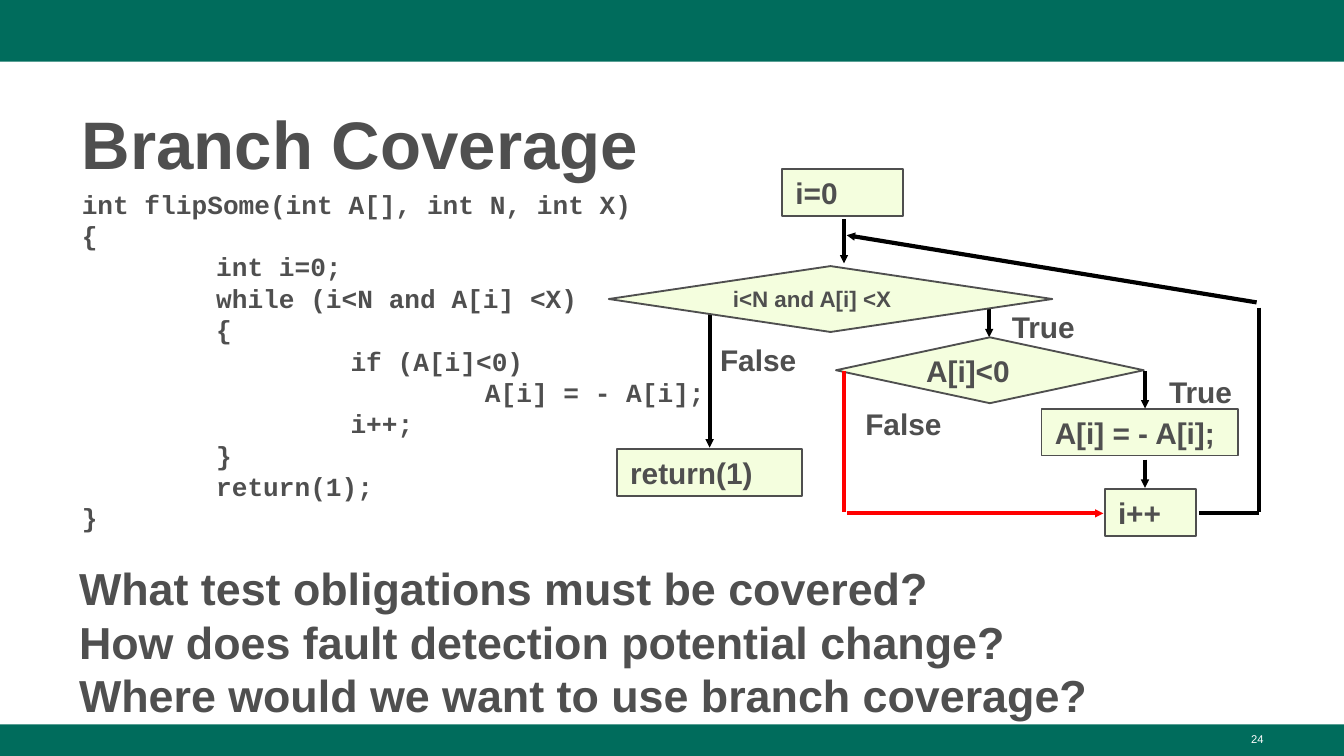
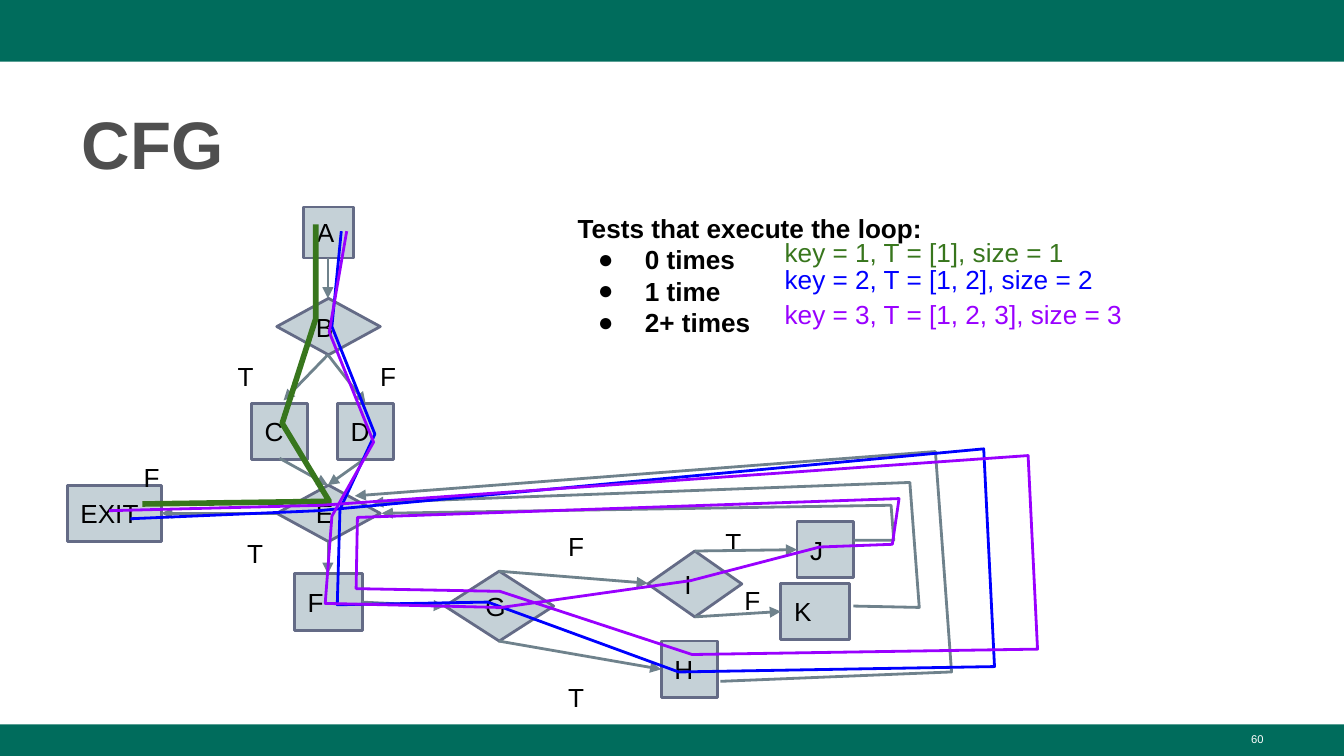
import pptx
import pptx.dml.color
import pptx.enum.shapes
import pptx.enum.text
import pptx.oxml
import pptx.oxml.ns
import pptx.util

RGB = pptx.dml.color.RGBColor
GREEN = RGB(0x00, 0x6C, 0x5C)
WHITE = RGB(0xFF, 0xFF, 0xFF)
BLACK = RGB(0x00, 0x00, 0x00)
GRAY = RGB(0x4F, 0x4F, 0x4F)
LIME = RGB(0xF4, 0xFE, 0xDE)
RED = RGB(0xFF, 0x00, 0x00)
STEEL = RGB(0xC5, 0xD1, 0xD7)
SLATE = RGB(0x64, 0x6B, 0x86)
EDGE = RGB(0x6F, 0x82, 0x8C)
LEAF = RGB(0x38, 0x76, 0x1D)
BLUE = RGB(0x00, 0x00, 0xFF)
PLUM = RGB(0x99, 0x00, 0xFF)

SCALE = 9144
SHAPE = pptx.enum.shapes.MSO_SHAPE
RECT, GEM = SHAPE.RECTANGLE, SHAPE.DIAMOND
ANCHOR = pptx.enum.text.MSO_ANCHOR
ALIGN = pptx.enum.text.PP_ALIGN
NS = 'xmlns:a="http://schemas.openxmlformats.org/drawingml/2006/main"'

SOURCE = """int flipSome(int A[], int N, int X)
{
\tint i=0;
\twhile (i<N and A[i] <X)
\t{
\t\tif (A[i]<0)
\t\t\tA[i] = - A[i];
\t\ti++;
\t}
\treturn(1);
}"""


def px(n):
    return pptx.util.Emu(n * SCALE)


def style(size, color, bold=True, name="Arial"):
    return {"size": pptx.util.Pt(size), "bold": bold, "name": name, "color": color}


HEAD = style(36, GRAY)
CODE = style(14, GRAY, name="Courier New")
FLOW = style(16, GRAY)
SMALL = style(12, GRAY)
ASK = style(24, GRAY)
NODE = style(14, BLACK, False)
LIST = style(14, BLACK)
PAGE = style(6, WHITE, False)


def apply(item, values):
    for key, value in values.items():
        if key == "color":
            item.color.rgb = value
        else:
            setattr(item, key, value)


def place(item, box):
    apply(item, dict(zip(("left", "top", "width", "height"), map(px, box))))


def shift(box, part):
    return (box[0] + part[0], box[1] + part[1], *part[2:])


def write(shape, text, look, side=10, edge=5, anchor=ANCHOR.TOP,
          align=ALIGN.LEFT, space=1.0):
    frame = shape.text_frame
    apply(frame, {"word_wrap": True, "vertical_anchor": anchor,
                  "margin_left": px(side), "margin_right": px(side),
                  "margin_top": px(edge), "margin_bottom": px(edge)})
    for i, line in enumerate(text.split("\n")):
        para = frame.paragraphs[0] if i == 0 else frame.add_paragraph()
        apply(para, {"alignment": align, "line_spacing": space})
        run = para.add_run()
        run.text = line
        apply(run.font, look)
    return frame


def label(slide, box, text, look, **rest):
    shape = slide.shapes.add_textbox(*map(px, box))
    return write(shape, text, look, **rest)


def block(slide, kind, box, fill, line=None, width=1):
    shape = slide.shapes.add_shape(kind, *map(px, box))
    shape.shadow.inherit = False
    shape.fill.solid()
    shape.fill.fore_color.rgb = fill
    if line is None:
        shape.line.fill.background()
    else:
        apply(shape.line, {"color": line, "width": pptx.util.Pt(width)})
    return shape


def stroke(shape, color, width, end=None, size="med"):
    apply(shape.line, {"color": color, "width": pptx.util.Pt(width)})
    props = shape.element.spPr
    if end:
        props.find(pptx.oxml.ns.qn("a:ln")).append(pptx.oxml.parse_xml(
            f'<a:{end} {NS} type="triangle" w="{size}" len="{size}"/>'))


def link(slide, box, ends, color, width, end="tailEnd", size="med"):
    start, stop = shift(box, ends[:2]), shift(box, ends[2:])
    line = slide.shapes.add_connector(
        pptx.enum.shapes.MSO_CONNECTOR.STRAIGHT, *map(px, start + stop))
    stroke(line, color, width, end, size)
    line.element.spPr.append(pptx.oxml.parse_xml(f"<a:effectLst {NS}/>"))


def route(slide, box, points, color, width, end=None):
    spots = [shift(box, point) for point in points]
    build = slide.shapes.build_freeform(*spots[0], scale=SCALE)
    build.add_line_segments(spots[1:], close=False)
    shape = build.convert_to_shape()
    shape.shadow.inherit = False
    shape.fill.background()
    stroke(shape, color, width, end)


def bands(deck, slide):
    tree = deck.slide_master.element.cSld.spTree
    for box in ((0, 0, 1000, 46), (0, 539, 1000, 24)):
        tree.append(block(slide, RECT, box, GREEN).element)


def page(deck, title, number):
    slide = deck.slides.add_slide(deck.slide_layouts[5])
    place(slide.shapes.title, (51, 67, 899, 73))
    write(slide.shapes.title, title, HEAD, anchor=ANCHOR.MIDDLE, space=1.08)
    label(slide, (717, 540, 233, 23), number, PAGE, align=ALIGN.RIGHT)
    return slide


def code(slide, box):
    stops = "".join(f'<a:tab pos="{px(100 * n)}" algn="l"/>' for n in (1, 2, 3))
    for para in label(slide, box, SOURCE, CODE).paragraphs:
        para._p.get_or_add_pPr().append(
            pptx.oxml.parse_xml(f"<a:tabLst {NS}>{stops}</a:tabLst>"))


def flow(slide, box):
    def arrow(ends, color=BLACK, end="tailEnd"):
        link(slide, box, ends, color, 2.25, end, "sm")

    for ends in ((286, 103, 286, 131), (78, 103, 78, 213)):
        arrow(ends)
    for kind, part, text, look in (
            (RECT, (372, 244, 68, 35), "i++", FLOW),
            (GEM, (3, 78, 330, 49), "i<N and A[i] <X", SMALL),
            (GEM, (172, 131, 229, 49), "A[i]<0", FLOW),
            (RECT, (325, 184, 146, 35), "A[i] = - A[i];", FLOW),
            (RECT, (9, 214, 138, 35), "return(1)", FLOW),
            (RECT, (132, 6, 90, 35), "i=0", FLOW)):
        shape = block(slide, kind, shift(box, part), LIME, GRAY)
        write(shape, text, look, anchor=ANCHOR.MIDDLE)
    for ends in ((178, 43, 178, 76), (402, 156, 402, 184), (402, 222, 402, 243)):
        arrow(ends)
    arrow((442, 262, 487, 262), end=None)
    arrow((487, 109, 487, 261), end=None)
    arrow((180, 55, 485, 105), end="headEnd")
    arrow((178, 156, 178, 261), RED, None)
    arrow((180, 262, 371, 262), RED)
    for x, y, width, text in ((293, 105, 90, "True"), (76, 129, 90, "False"),
                              (410, 153, 90, "True"), (184, 177, 82, "False")):
        label(slide, shift(box, (x, y, width, 26)), text, FLOW)


def graph(slide, box):
    for kind, part, text in (
            (RECT, (176, 4, 37, 38), "A"), (GEM, (156, 72, 77, 42), "B"),
            (RECT, (201, 150, 42, 42), "D"), (RECT, (137, 150, 42, 42), "C"),
            (RECT, (0, 211, 70, 42), "EXIT"), (RECT, (169, 277, 51, 42), "F"),
            (GEM, (281, 275, 81, 52), "G"), (RECT, (442, 327, 42, 42), "H"),
            (GEM, (432, 260, 70, 49), "I"), (RECT, (543, 238, 42, 42), "J"),
            (RECT, (531, 284, 51, 42), "K"), (GEM, (156, 211, 77, 42), "E")):
        shape = block(slide, kind, shift(box, part), STEEL, SLATE, 1.5)
        write(shape, text, NODE, edge=10, anchor=ANCHOR.MIDDLE)
    for x, y, text in ((223, 108, "F"), (117, 108, "T"), (47, 183, "F"),
                       (124, 240, "T"), (363, 347, "T"), (363, 235, "F"),
                       (480, 232, "T"), (494, 275, "F")):
        label(slide, shift(box, (x, y, 37, 38)), text, NODE, edge=10)
    for ends in ((156, 232, 70, 232), (219, 298, 281, 301),
                 (321, 327, 442, 348), (321, 275, 432, 284),
                 (467, 260, 543, 259), (467, 309, 531, 305),
                 (194, 42, 194, 72), (194, 114, 161, 148),
                 (194, 114, 222, 150), (194, 253, 194, 277),
                 (158, 191, 194, 211), (222, 191, 194, 211)):
        link(slide, box, ends, EDGE, 1.5)
    for points in (((585, 252), (615, 252), (613, 226), (234, 232)),
                   ((585, 301), (634, 302), (627, 209), (227, 224)),
                   ((486, 357), (658, 350), (646, 186), (214, 219))):
        route(slide, box, points, EDGE, 1.5, "tailEnd")
    route(slide, box, ((185, 17), (185, 87), (160, 165), (195, 223),
                       (56, 225)), LEAF, 3)
    route(slide, box, ((204, 22), (197, 93), (229, 173), (203, 229),
                       (201, 300), (313, 298), (455, 350), (690, 346),
                       (682, 184), (187, 230), (47, 236)), BLUE, 1.5)
    route(slide, box, ((208, 22), (195, 97), (228, 179), (197, 234),
                       (192, 299), (323, 302), (464, 282), (560, 257),
                       (614, 255), (619, 221), (216, 235), (215, 288),
                       (322, 290), (465, 337), (722, 333), (715, 189),
                       (189, 226), (31, 230)), PLUM, 1.5)


def tests(slide, box):
    text = "Tests that execute the loop:\n0 times\n1 time\n2+ times"
    frame = label(slide, box, text, LIST, edge=10)
    for para in frame.paragraphs[1:]:
        props = para._p.get_or_add_pPr()
        props.set("marL", str(px(50)))
        props.set("indent", str(px(-35)))
        for mark in (f'<a:buClr {NS}><a:srgbClr val="{BLACK}"/></a:buClr>',
                     f'<a:buFont {NS} typeface="Arial"/>',
                     f'<a:buChar {NS} char="●"/>'):
            props.append(pptx.oxml.parse_xml(mark))
    for y, width, text, color in (
            (21, 233, "key = 1, T = [1], size = 1", LEAF),
            (41, 267, "key = 2, T = [1, 2], size = 2", BLUE),
            (67, 284, "key = 3, T = [1, 2, 3], size = 3", PLUM)):
        label(slide, shift(box, (154, y, width, 17)), text,
              style(14, color, False), edge=10)


def main():
    deck = pptx.Presentation()
    apply(deck, {"slide_width": px(1000), "slide_height": px(1000) * 9 // 16})
    first = page(deck, "Branch Coverage", "24")
    bands(deck, first)
    code(first, (51, 135, 502, 235))
    flow(first, (450, 120, 490, 290))
    label(first, (49, 407, 947, 115),
          "What test obligations must be covered?\n"
          "How does fault detection potential change?\n"
          "Where would we want to use branch coverage?", ASK, edge=10)
    second = page(deck, "CFG", "60")
    graph(second, (50, 150, 730, 370))
    tests(second, (420, 148, 563, 84))
    deck.save("out.pptx")


if __name__ == "__main__":
    main()
